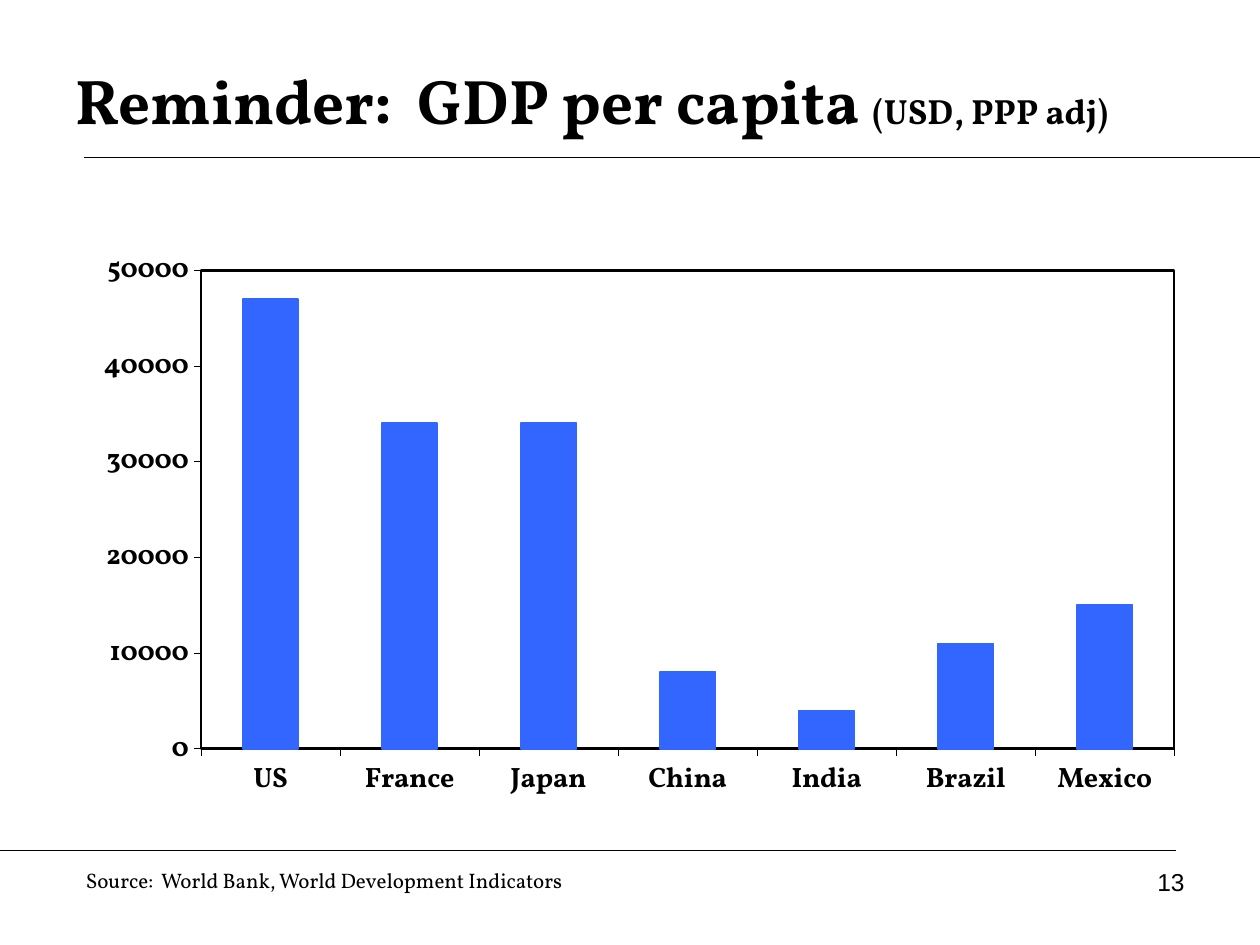
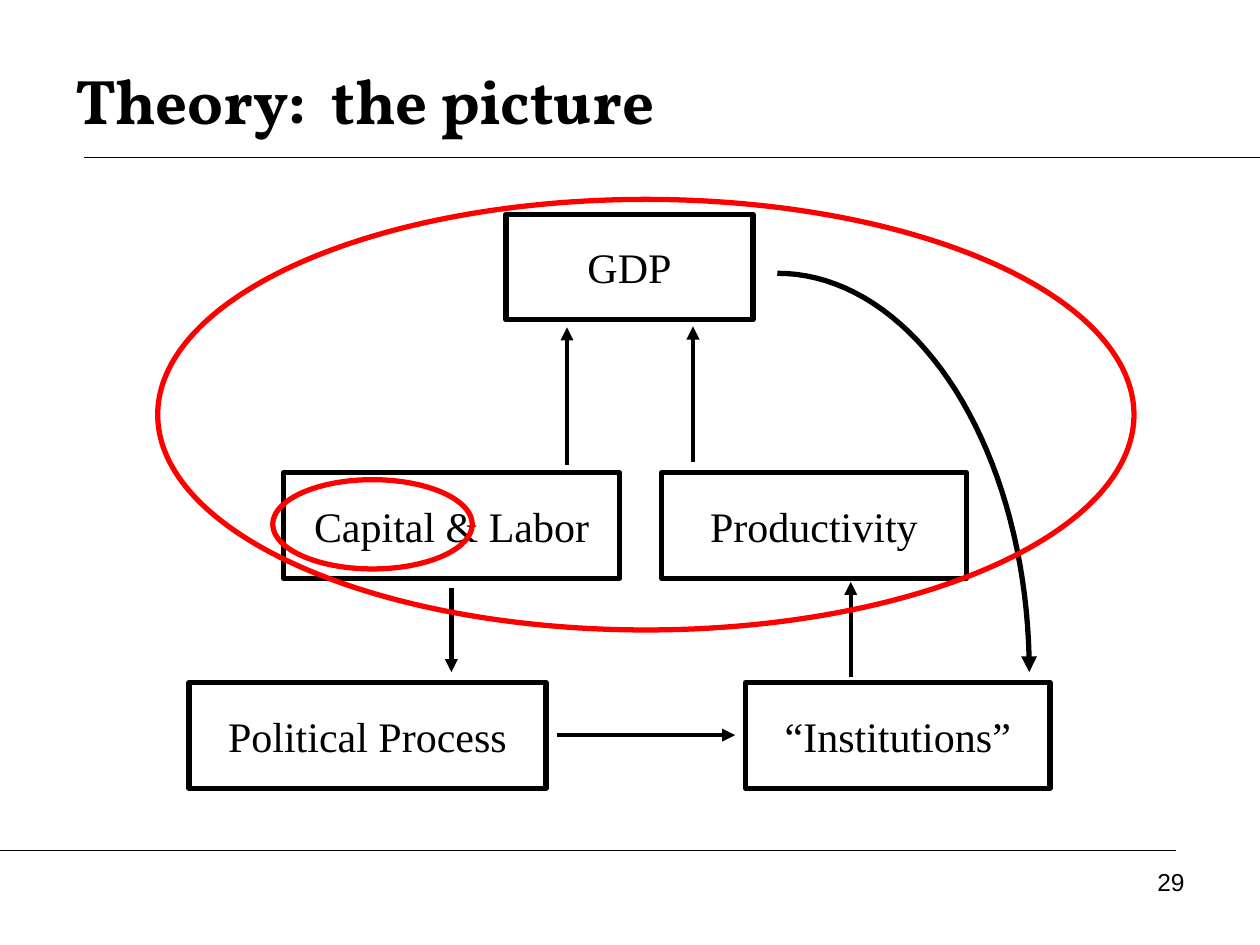
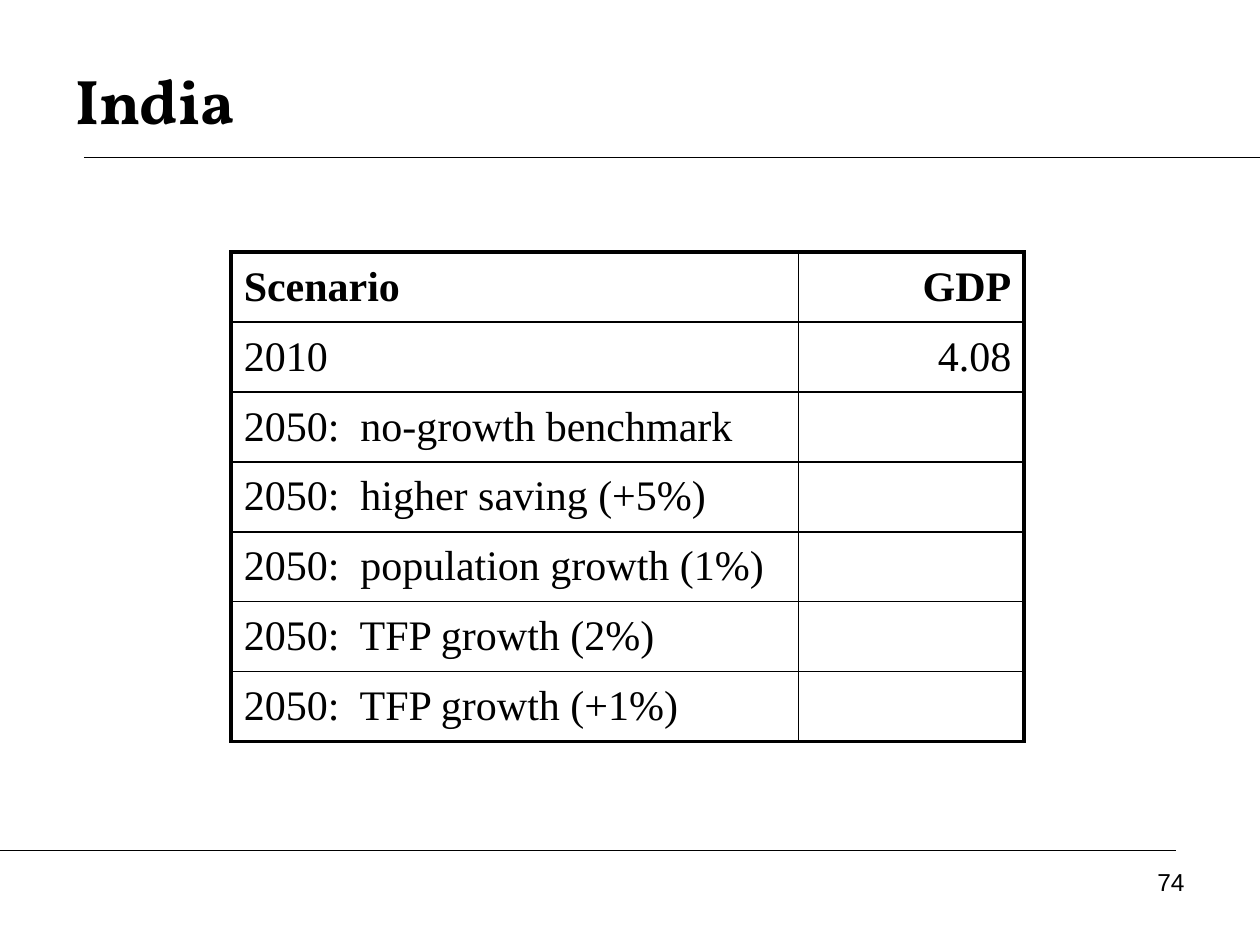
import math

import pptx
import pptx.chart.data
import pptx.dml.color
import pptx.enum.chart
import pptx.enum.shapes
import pptx.enum.text
import pptx.oxml
import pptx.oxml.ns
import pptx.util
from pptx.util import Cm, Pt

BLACK, WHITE, RED, BLUE = "000000", "FFFFFF", "FF0000", "3366FF"
DISPLAY_FONT, BODY_FONT, NUMBER_FONT = "Vollkorn", "Times New Roman", "Arial"

TITLE_BOX = (1.27, 0.84, 22.86, 2.34)
NUMBER_BOX = (18.2, 17.36, 5.93, 1.31)
SOURCE_BOX = (1.48, 17.36, 12.28, 0.77)
RULES = [(1.69, 3.18, 25.4, 3.18), (0, 17.15, 23.71, 17.15)]

GDP_TITLE = [("Reminder:  GDP per capita ", 36), ("(USD, PPP adj)", 20)]
GDP_SOURCE = "Source:  World Bank, World Development Indicators"
GDP_PER_CAPITA = {
    "US": 47000,
    "France": 34000,
    "Japan": 34000,
    "China": 8000,
    "India": 4000,
    "Brazil": 11000,
    "Mexico": 15000,
}
CHART_BOX = (1.42, 4.6, 22.5, 12.29)
PLOT_LAYOUT = {"x": 0.117, "y": 0.069, "w": 0.872, "h": 0.785}

THEORY_TITLE = [("Theory:  the picture", 36)]
BOX_HEIGHT = 2.13
THEORY_BOXES = [
    ("Capital & Labor", 5.72, 9.53, 6.77),
    ("Productivity", 13.34, 9.53, 6.14),
    ("GDP", 10.2, 4.32, 4.98),
    ("“Institutions”", 15.03, 13.76, 6.14),
    ("Political Process", 3.81, 13.76, 7.2),
]
THEORY_ARROWS = [
    (11.43, 9.37, 11.43, 6.6),
    (13.97, 9.32, 13.97, 6.58),
    (17.15, 13.64, 17.15, 11.73),
    (11.22, 14.82, 14.82, 14.82),
    (9.1, 11.85, 9.1, 13.55),
]
FEEDBACK_CENTER = (15.67, 13.55)
FEEDBACK_RADII = (5.08, 8.04)
FEEDBACK_STEPS = 40
HIGHLIGHTS = [(3.18, 4.02, 19.68, 8.68), (5.5, 9.67, 4.02, 1.8)]

INDIA_TITLE = [("India", 36)]
SCENARIOS = [
    ("Scenario", "GDP"),
    ("2010", "4.08"),
    ("2050:  no-growth benchmark", ""),
    ("2050:  higher saving (+5%)", ""),
    ("2050:  population growth (1%)", ""),
    ("2050:  TFP growth (2%)", ""),
    ("2050:  TFP growth (+1%)", ""),
]
TABLE_CORNER = (4.66, 5.08)
COLUMN_WIDTHS = (11.44, 4.54)
ROW_HEIGHT = 1.41
OUTER_BORDER, INNER_BORDER = 2.25, 1

ALIGN = pptx.enum.text.PP_ALIGN
ANCHOR = pptx.enum.text.MSO_ANCHOR
SHAPES = pptx.enum.shapes.MSO_SHAPE
qn = pptx.oxml.ns.qn


def color(value):
    return pptx.dml.color.RGBColor.from_string(value)


def xml(markup, prefix="a"):
    head, separator, rest = markup.partition(">")
    closing = "/" if head.endswith("/") else ""
    namespaces = pptx.oxml.ns.nsdecls(*dict.fromkeys([prefix, "a"]))
    return pptx.oxml.parse_xml(f"{head.rstrip('/')} {namespaces}{closing}>{rest}")


def style_font(font, size, name, bold=False):
    font.size, font.name, font.bold = Pt(size), name, bold
    font.color.rgb = color(BLACK)


def add_run(paragraph, text, size, name, bold=False):
    run = paragraph.add_run()
    run.text = text
    style_font(run.font, size, name, bold)


def style_line(line, value, width):
    line.color.rgb = color(value)
    line.width = Pt(width)


def add_text(slide, box, runs, name, bold=False, align=ALIGN.LEFT, anchor=ANCHOR.TOP):
    frame = slide.shapes.add_textbox(*map(Cm, box)).text_frame
    frame.word_wrap = True
    frame.vertical_anchor = anchor
    paragraph = frame.paragraphs[0]
    paragraph.alignment = align
    for text, size in runs:
        add_run(paragraph, text, size, name, bold)


def add_arrowhead(shape):
    shape.element.spPr.find(qn("a:ln")).append(xml('<a:tailEnd type="triangle"/>'))


def add_line(slide, ends, width):
    straight = pptx.enum.shapes.MSO_CONNECTOR.STRAIGHT
    connector = slide.shapes.add_connector(straight, *map(Cm, ends))
    style_line(connector.line, BLACK, width)
    connector.element.spPr.append(xml("<a:effectLst/>"))
    return connector


def style_outline(shape, value):
    shape.shadow.inherit = False
    shape.fill.background()
    style_line(shape.line, value, 3)


def add_slide(presentation, title, number):
    slide = presentation.slides.add_slide(presentation.slide_layouts[6])
    slide.background.fill.solid()
    slide.background.fill.fore_color.rgb = color(WHITE)
    for ends in RULES:
        add_line(slide, ends, 0.75)
    add_text(slide, TITLE_BOX, title, DISPLAY_FONT, True, anchor=ANCHOR.MIDDLE)
    add_text(slide, NUMBER_BOX, [(number, 14)], NUMBER_FONT, align=ALIGN.RIGHT)
    return slide


def frame_plot(chart):
    plot_area = chart.element.find(f".//{qn('c:plotArea')}")
    for layout in plot_area.findall(qn("c:layout")):
        plot_area.remove(layout)
    modes = "".join(f'<c:{axis}Mode val="edge"/>' for axis in "xy")
    sizes = "".join(f'<c:{key} val="{value}"/>' for key, value in PLOT_LAYOUT.items())
    plot_area.insert(0, xml(
        '<c:layout><c:manualLayout><c:layoutTarget val="inner"/>'
        f"{modes}{sizes}</c:manualLayout></c:layout>", "c"))
    plot_area.append(xml(
        f'<c:spPr><a:noFill/><a:ln w="{Pt(1.5)}"><a:solidFill>'
        f'<a:srgbClr val="{BLACK}"/></a:solidFill></a:ln></c:spPr>', "c"))


def add_gdp_chart(slide):
    data = pptx.chart.data.CategoryChartData(number_format="General")
    data.categories = list(GDP_PER_CAPITA)
    data.add_series("Series 1", list(GDP_PER_CAPITA.values()))
    kind = pptx.enum.chart.XL_CHART_TYPE.COLUMN_CLUSTERED
    chart = slide.shapes.add_chart(kind, *map(Cm, CHART_BOX), data).chart
    chart.has_legend = chart.has_title = False
    style_font(chart.font, 18, NUMBER_FONT, True)

    for axis in (chart.category_axis, chart.value_axis):
        axis.has_major_gridlines = False
        axis.major_tick_mark = pptx.enum.chart.XL_TICK_MARK.OUTSIDE
        axis.minor_tick_mark = pptx.enum.chart.XL_TICK_MARK.NONE
        style_font(axis.tick_labels.font, 16, DISPLAY_FONT, True)
        style_line(axis.format.line, BLACK, 0.25)
    chart.value_axis.minimum_scale = 0
    chart.value_axis.maximum_scale = 50000
    chart.value_axis.major_unit = 10000

    plot = chart.plots[0]
    plot.gap_width = 150
    plot.vary_by_categories = False
    bars = plot.series[0].format
    bars.fill.solid()
    bars.fill.fore_color.rgb = color(BLUE)
    style_line(bars.line, BLUE, 1)
    frame_plot(chart)


def add_theory_box(slide, text, left, top, width):
    box = map(Cm, (left, top, width, BOX_HEIGHT))
    shape = slide.shapes.add_shape(SHAPES.RECTANGLE, *box)
    style_outline(shape, BLACK)
    frame = shape.text_frame
    frame.word_wrap = True
    frame.vertical_anchor = ANCHOR.MIDDLE
    frame.margin_left = frame.margin_right = Cm(0.51)
    frame.margin_top = frame.margin_bottom = Cm(0.51)
    frame.paragraphs[0].alignment = ALIGN.CENTER
    add_run(frame.paragraphs[0], text, 24, BODY_FONT)


def add_feedback_arrow(slide):
    (center_x, center_y), (radius_x, radius_y) = FEEDBACK_CENTER, FEEDBACK_RADII
    angles = [math.pi / 2 * step / FEEDBACK_STEPS for step in range(FEEDBACK_STEPS + 1)]
    points = [
        (Cm(center_x + radius_x * math.sin(angle)), Cm(center_y - radius_y * math.cos(angle)))
        for angle in angles
    ]
    builder = slide.shapes.build_freeform(*points[0])
    builder.add_line_segments(points[1:], close=False)
    curve = builder.convert_to_shape()
    style_outline(curve, BLACK)
    add_arrowhead(curve)


def add_theory_diagram(slide):
    for box in THEORY_BOXES:
        add_theory_box(slide, *box)
    for ends in THEORY_ARROWS:
        add_arrowhead(add_line(slide, ends, 2.5))
    add_feedback_arrow(slide)
    for box in HIGHLIGHTS:
        style_outline(slide.shapes.add_shape(SHAPES.OVAL, *map(Cm, box)), RED)


def set_borders(cell, outer_sides):
    properties = cell._tc.get_or_add_tcPr()
    for index, side in enumerate("LRTB"):
        width = OUTER_BORDER if outer_sides[side] else INNER_BORDER
        properties.insert(index, xml(
            f'<a:ln{side} w="{Pt(width)}"><a:solidFill>'
            f'<a:srgbClr val="{BLACK}"/></a:solidFill></a:ln{side}>'))


def add_scenario_table(slide):
    row_count, column_count = len(SCENARIOS), len(COLUMN_WIDTHS)
    size = (sum(COLUMN_WIDTHS), ROW_HEIGHT * row_count)
    box = map(Cm, TABLE_CORNER + size)
    table = slide.shapes.add_table(row_count, column_count, *box).table
    table.first_row = table.horz_banding = False
    for column, width in zip(table.columns, COLUMN_WIDTHS):
        column.width = Cm(width)
    for row_index, texts in enumerate(SCENARIOS):
        table.rows[row_index].height = Cm(ROW_HEIGHT)
        for column_index, text in enumerate(texts):
            cell = table.cell(row_index, column_index)
            cell.fill.background()
            cell.vertical_anchor = ANCHOR.MIDDLE
            set_borders(cell, {
                "L": column_index == 0,
                "R": column_index == column_count - 1,
                "T": row_index == 0,
                "B": row_index == row_count - 1,
            })
            if text:
                paragraph = cell.text_frame.paragraphs[0]
                paragraph.alignment = ALIGN.RIGHT if column_index else ALIGN.LEFT
                add_run(paragraph, text, 24, BODY_FONT, row_index == 0)


def main():
    presentation = pptx.Presentation()
    presentation.slide_width, presentation.slide_height = Cm(25.4), Cm(19.05)

    gdp_slide = add_slide(presentation, GDP_TITLE, "13")
    add_gdp_chart(gdp_slide)
    add_text(gdp_slide, SOURCE_BOX, [(GDP_SOURCE, 12)], DISPLAY_FONT)

    add_theory_diagram(add_slide(presentation, THEORY_TITLE, "29"))
    add_scenario_table(add_slide(presentation, INDIA_TITLE, "74"))

    presentation.save("out.pptx")


if __name__ == "__main__":
    main()
